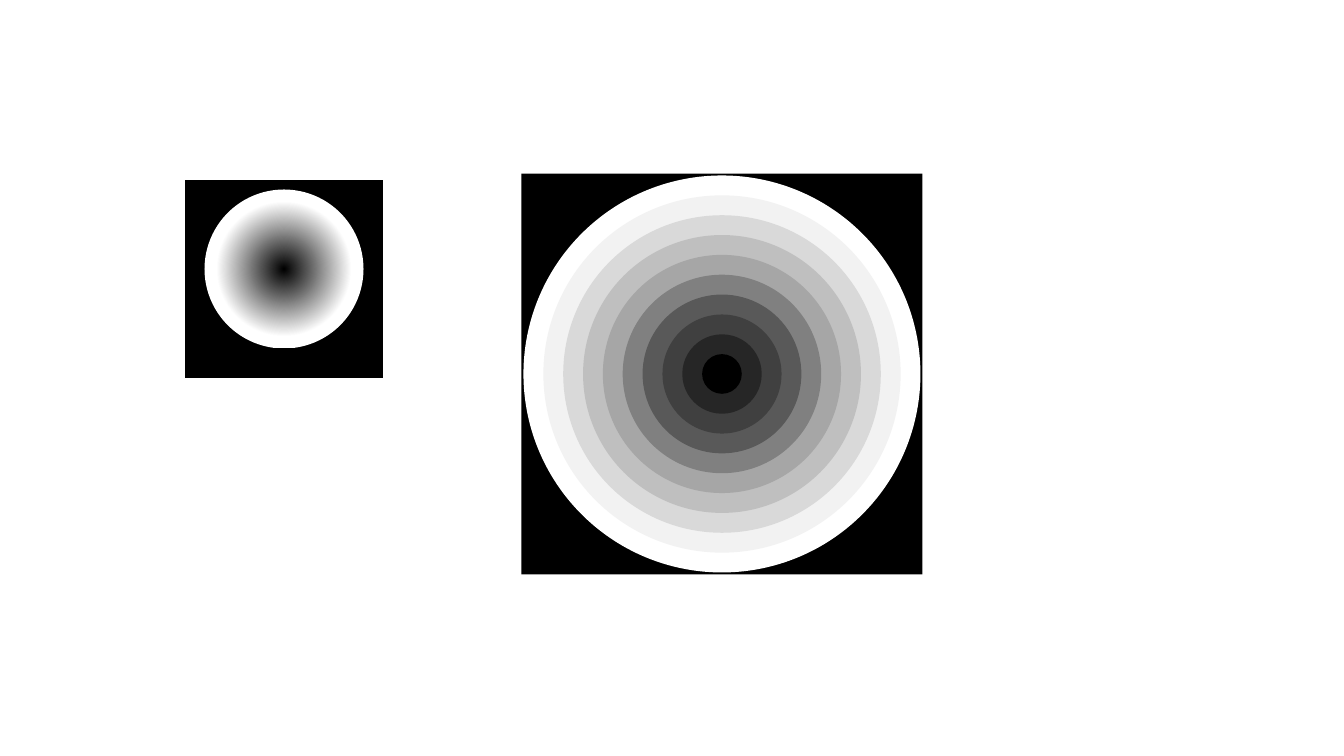
"""Build a slide with a smooth radial gradient beside its stepped rings."""
from pptx import Presentation
from pptx.dml.color import RGBColor
from pptx.enum.shapes import MSO_SHAPE as Shape
from pptx.oxml import parse_xml
from pptx.oxml.ns import nsdecls, qn

EMU_PER_PX = 914400 / 100.8
SLIDE_WIDTH, SLIDE_HEIGHT = 1344, 756
BLANK_LAYOUT = 6

BLACK = RGBColor(0x00, 0x00, 0x00)
WHITE = RGBColor(0xFF, 0xFF, 0xFF)
RING_GREYS = [WHITE] + [
    RGBColor(level, level, level)
    for level in (0xF2, 0xD9, 0xBF, 0xA6, 0x80, 0x59, 0x40, 0x26)
] + [BLACK]
GRADIENT_STOPS = [(0, BLACK), (60, WHITE), (100, WHITE)]

RINGS_CENTER = (722, 374)
RINGS_BACKDROP, RINGS_DIAMETER = 401, 397
SMOOTH_BACKDROP_CENTER, SMOOTH_BACKDROP = (284, 279), 198
SMOOTH_DISC_CENTER, SMOOTH_DISC = (284, 269), 159


def emu(px):
    """Turn px into EMU."""
    return round(px * EMU_PER_PX)


def add_centered(shapes, preset, center, size, color):
    """Add a plain filled shape of equal sides around a centre."""
    left, top = (emu(middle - size / 2) for middle in center)
    figure = shapes.add_shape(preset, left, top, emu(size), emu(size))
    figure.shadow.inherit = False
    figure.line.fill.background()
    figure.fill.solid()
    figure.fill.fore_color.rgb = color
    return figure


def fill_radially(disc, stops):
    """Replace a solid fill by a gradient from the centre outwards."""
    stop_xml = "".join(
        f'<a:gs pos="{percent * 1000}"><a:srgbClr val="{color}"/></a:gs>'
        for percent, color in stops
    )
    gradient = parse_xml(
        f'<a:gradFill {nsdecls("a")} rotWithShape="1"><a:gsLst>{stop_xml}</a:gsLst>'
        '<a:path path="circle">'
        '<a:fillToRect l="50000" t="50000" r="50000" b="50000"/>'
        '</a:path></a:gradFill>'
    )
    properties = disc.element.spPr
    properties.replace(properties.find(qn("a:solidFill")), gradient)


def add_stepped_rings(slide):
    """Add the grouped backdrop and its evenly shrinking discs."""
    shapes = slide.shapes.add_group_shape().shapes
    add_centered(shapes, Shape.RECTANGLE, RINGS_CENTER, RINGS_BACKDROP, BLACK)
    step = RINGS_DIAMETER / len(RING_GREYS)
    for index, grey in enumerate(RING_GREYS):
        diameter = RINGS_DIAMETER - index * step
        add_centered(shapes, Shape.OVAL, RINGS_CENTER, diameter, grey)


def add_smooth_disc(slide):
    """Add the small backdrop and its smoothly shaded disc."""
    add_centered(slide.shapes, Shape.RECTANGLE, SMOOTH_BACKDROP_CENTER,
                 SMOOTH_BACKDROP, BLACK)
    disc = add_centered(slide.shapes, Shape.OVAL, SMOOTH_DISC_CENTER,
                        SMOOTH_DISC, WHITE)
    fill_radially(disc, GRADIENT_STOPS)


def main():
    """Build and save the slide."""
    deck = Presentation()
    deck.slide_width, deck.slide_height = emu(SLIDE_WIDTH), emu(SLIDE_HEIGHT)
    slide = deck.slides.add_slide(deck.slide_layouts[BLANK_LAYOUT])
    add_stepped_rings(slide)
    add_smooth_disc(slide)
    deck.save("out.pptx")


if __name__ == "__main__":
    main()
